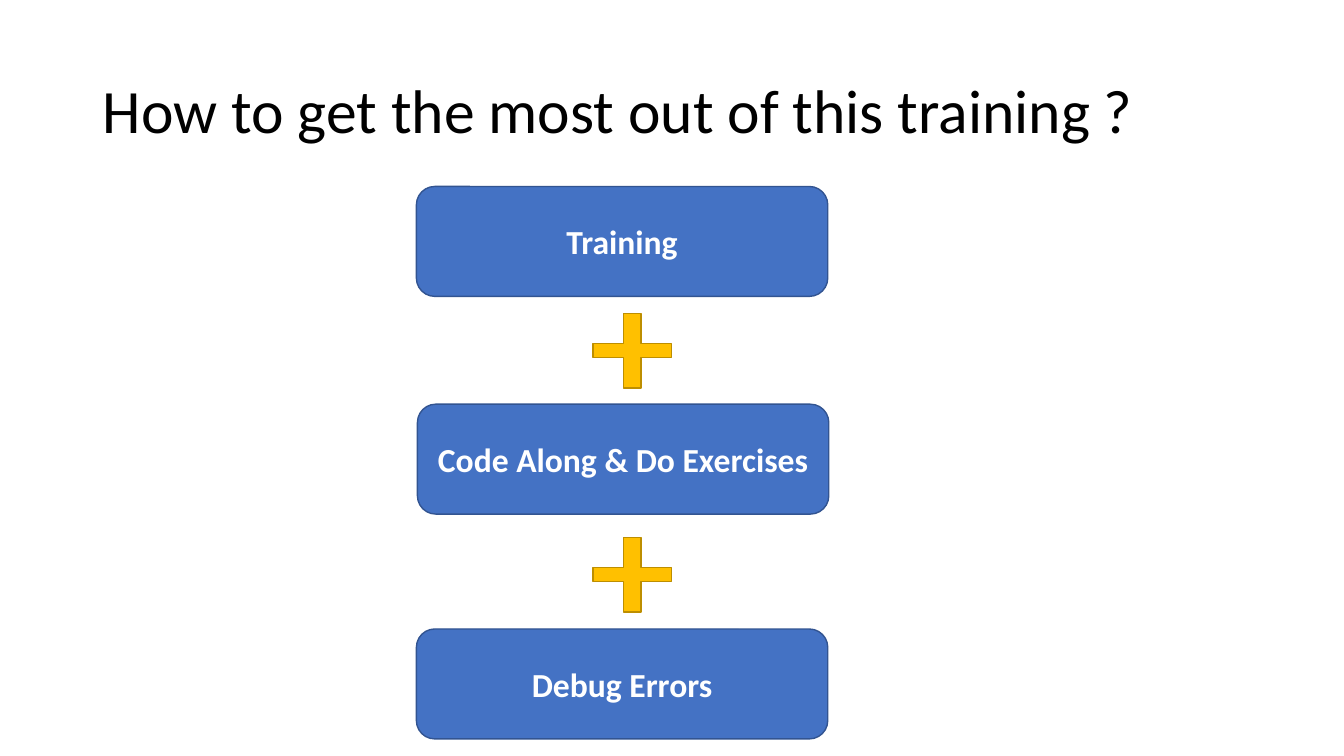
from dataclasses import dataclass

from pptx import Presentation
from pptx.dml.color import RGBColor
from pptx.enum.shapes import MSO_SHAPE
from pptx.enum.text import MSO_ANCHOR, MSO_AUTO_SIZE, PP_ALIGN
from pptx.util import Emu, Pt

ROUNDED = MSO_SHAPE.ROUNDED_RECTANGLE
PLUS = MSO_SHAPE.CROSS
MIDDLE = MSO_ANCHOR.MIDDLE
NO_FIT = MSO_AUTO_SIZE.NONE
LEFT, CENTER = PP_ALIGN.LEFT, PP_ALIGN.CENTER

EMU_PER_PX = 9144  # 100 px to the inch
FONT = "Calibri"
BOX_W, BOX_H = 408, 109
PLUS_X, PLUS_W, PLUS_H = 588, 78, 74
PLUS_ADJ = 0.407


@dataclass
class Step:
    text: str
    x: int
    y: int


STEPS = [
    Step("Training", 413, 185),
    Step("Code Along & Do Exercises", 414, 401),
    Step("Debug Errors", 413, 624),
]
PLUS_TOPS = [311, 533]


def px(n: int) -> Emu:
    return Emu(n * EMU_PER_PX)


def rgb(color: str) -> RGBColor:
    return RGBColor.from_string(color)


def write(tf, text: str, size: int, color: str, align, bold: bool = False) -> None:
    tf.word_wrap = True
    tf.auto_size = NO_FIT
    tf.vertical_anchor = MIDDLE
    p = tf.paragraphs[0]
    p.alignment = align
    r = p.add_run()
    r.text = text
    r.font.name = FONT
    r.font.size = Pt(size)
    r.font.bold = bold
    r.font.color.rgb = rgb(color)


def add_block(slide, kind, x: int, y: int, w: int, h: int, fill: str, line: str):
    sp = slide.shapes.add_shape(kind, px(x), px(y), px(w), px(h))
    sp.shadow.inherit = False
    sp.fill.solid()
    sp.fill.fore_color.rgb = rgb(fill)
    sp.line.color.rgb = rgb(line)
    sp.line.width = Pt(1)
    return sp


def add_step(slide, step: Step) -> None:
    sp = add_block(slide, ROUNDED, step.x, step.y, BOX_W, BOX_H, "4472C4", "325491")
    write(sp.text_frame, step.text, 24, "FFFFFF", CENTER, bold=True)


def add_plus(slide, y: int) -> None:
    sp = add_block(slide, PLUS, PLUS_X, y, PLUS_W, PLUS_H, "FFC000", "BD8E00")
    sp.adjustments[0] = PLUS_ADJ


def main() -> None:
    prs = Presentation()
    prs.slide_width, prs.slide_height = px(1333), px(750)
    s = prs.slides.add_slide(prs.slide_layouts[5])

    # Title
    title = s.shapes.title
    title.left, title.top = px(92), px(40)
    title.width, title.height = px(1150), px(145)
    write(title.text_frame, "How to get the most out of this training ?", 44, "000000", LEFT)
    title.text_frame.paragraphs[0].line_spacing = 0.9

    # Steps joined by plus signs
    for step in STEPS:
        add_step(s, step)
    for top in PLUS_TOPS:
        add_plus(s, top)

    prs.save("out.pptx")


if __name__ == "__main__":
    main()
